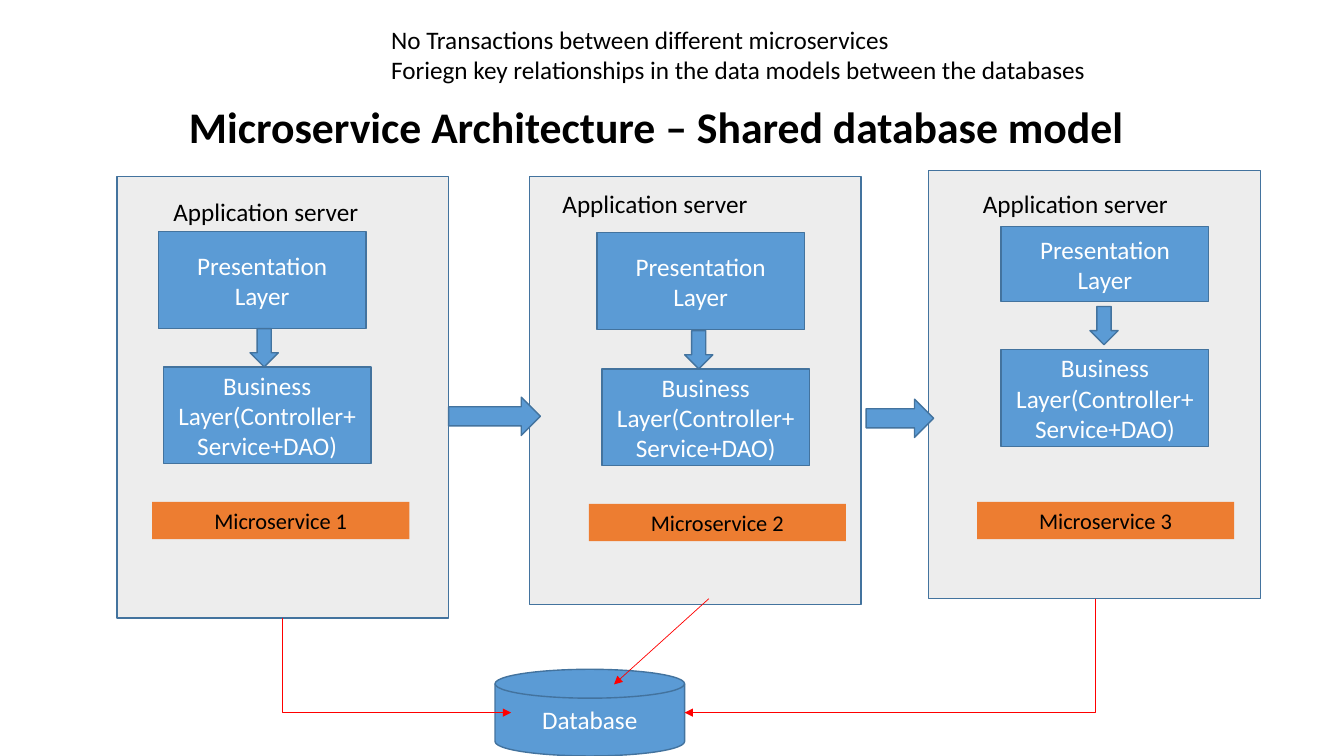
from pptx import Presentation
from pptx.dml.color import RGBColor
from pptx.enum.shapes import MSO_CONNECTOR as CONN, MSO_SHAPE as SHAPE
from pptx.enum.text import MSO_ANCHOR as ANCHOR, MSO_AUTO_SIZE as AUTO, PP_ALIGN as ALIGN
from pptx.oxml.ns import qn
from pptx.oxml.xmlchemy import OxmlElement
from pptx.util import Inches, Pt

TITLE = "Microservice Architecture – Shared database model"
NOTES = ["No Transactions between different microservices",
         "Foriegn key relationships in the data models between the databases"]
SERVER = "Application server"
PRESENTATION = "Presentation Layer"
BUSINESS = "Business Layer(Controller+Service+DAO)"
BLUE, EDGE, GRAY, ORANGE = "5B9BD5", "43739E", "EDEDED", "ED7D31"
WHITE, BLACK, RED = "FFFFFF", "000000", "FF0000"

SERVICES = [
    dict(name="Microservice 1", panel=(1.16, 1.75, 4.38), server=(1.62, 1.9),
         top_layer=(1.57, 2.3, 0.96), arrow=(2.48, 3.26),
         business=(1.62, 3.64), label=(1.51, 4.98)),
    dict(name="Microservice 2", panel=(5.25, 1.75, 4.25), server=(5.48, 1.82),
         top_layer=(5.92, 2.31, 0.96), arrow=(6.79, 3.28),
         business=(5.97, 3.66), label=(5.84, 5)),
    dict(name="Microservice 3", panel=(9.21, 1.69, 4.25), server=(9.65, 1.82),
         top_layer=(9.93, 2.25, 0.74), arrow=(10.81, 3.04),
         business=(9.93, 3.47), label=(9.69, 4.98)),
]
CALLS = [(4.45, 3.94, 0.91, 0.38), (8.59, 3.96, 0.67, 0.38)]
DATABASE = (4.91, 6.64, 1.88, 0.86)
ELBOWS = [((2.8, 6.13), (5.07, 7.07)), ((10.86, 5.94), (6.79, 7.07))]
DIRECT = ((7.03, 5.94), (6.09, 6.79))


def rgb(value):
    return RGBColor.from_string(value)


def write(tf, lines, size, color, align=ALIGN.CENTER, bold=False, **frame):
    for key, value in dict(word_wrap=True, **frame).items():
        setattr(tf, key, value)
    for i, line in enumerate(lines):
        p = tf.add_paragraph() if i else tf.paragraphs[0]
        p.alignment = align
        r = p.add_run()
        r.text = line
        for key, value in dict(name="Calibri", size=Pt(size), bold=bold).items():
            setattr(r.font, key, value)
        r.font.color.rgb = rgb(color)


def shape(kind, box, fill=BLUE, line=EDGE):
    sp = s.shapes.add_shape(kind, *map(Inches, box))
    sp.shadow.inherit = False
    sp.fill.solid()
    sp.fill.fore_color.rgb = rgb(fill)
    if line:
        sp.line.color.rgb = rgb(line)
        sp.line.width = Pt(1)
    else:
        sp.line.fill.background()
    return sp


def block(kind, box, text):
    write(shape(kind, box).text_frame, [text], 18, WHITE, vertical_anchor=ANCHOR.MIDDLE)


def text_box(box, lines):
    tf = s.shapes.add_textbox(*map(Inches, box)).text_frame
    write(tf, lines, 18, BLACK, ALIGN.LEFT, auto_size=AUTO.SHAPE_TO_FIT_TEXT)


def red_arrow(kind, start, end):
    c = s.shapes.add_connector(kind, *map(Inches, start + end))
    c.line.color.rgb = rgb(RED)
    c.line.width = Pt(0.5)
    tail = OxmlElement("a:tailEnd")
    tail.set("type", "triangle")
    c.line._get_or_add_ln().append(tail)
    c._element.spPr.append(OxmlElement("a:effectLst"))
    return c


def red_elbow(start, end):
    (x1, y1), (x2, y2) = start, end
    cx, cy = (x1 + x2) / 2, (y1 + y2) / 2
    w, h = abs(y2 - y1), abs(x2 - x1)
    c = red_arrow(CONN.ELBOW, (cx - w / 2, cy - h / 2), (cx + w / 2, cy + h / 2))
    spPr = c._element.spPr
    spPr.find(qn("a:prstGeom")).set("prst", "bentConnector2")
    xfrm = spPr.find(qn("a:xfrm"))
    rightward = x2 > x1
    xfrm.set("rot", str((270 if rightward else 90) * 60000))
    if rightward:
        xfrm.set("flipH", "1")


prs = Presentation()
prs.slide_width, prs.slide_height = Inches(13.33), Inches(7.5)
s = prs.slides.add_slide(prs.slide_layouts[5])

title = s.shapes.title
for key, value in dict(left=1.51, top=0.65, width=10, height=0.92).items():
    setattr(title, key, Inches(value))
write(title.text_frame, [TITLE], 31.2, BLACK, bold=True,
      vertical_anchor=ANCHOR.BOTTOM, auto_size=AUTO.NONE)
title.text_frame.paragraphs[0].line_spacing = 0.9

for service in SERVICES:
    x, y, h = service["panel"]
    shape(SHAPE.RECTANGLE, (x, y, 3.29, h), GRAY)
    x, y, h = service["top_layer"]
    block(SHAPE.RECTANGLE, (x, y, 2.06, h), PRESENTATION)
    block(SHAPE.RECTANGLE, service["business"] + (2.06, 0.96), BUSINESS)
    shape(SHAPE.DOWN_ARROW, service["arrow"] + (0.28, 0.38))
    label = shape(SHAPE.RECTANGLE, service["label"] + (2.55, 0.37), ORANGE, None)
    write(label.text_frame, [service["name"]], 16, BLACK,
          vertical_anchor=ANCHOR.TOP, auto_size=AUTO.SHAPE_TO_FIT_TEXT)
    text_box(service["server"] + (2.62, 0.4), [SERVER])

for call in CALLS:
    shape(SHAPE.RIGHT_ARROW, call)
block(SHAPE.FLOWCHART_MAGNETIC_DISK, DATABASE, "Database")
for elbow in ELBOWS:
    red_elbow(*elbow)
red_arrow(CONN.STRAIGHT, *DIRECT)
text_box((3.78, 0.19, 8.35, 0.71), NOTES)

prs.save("out.pptx")
